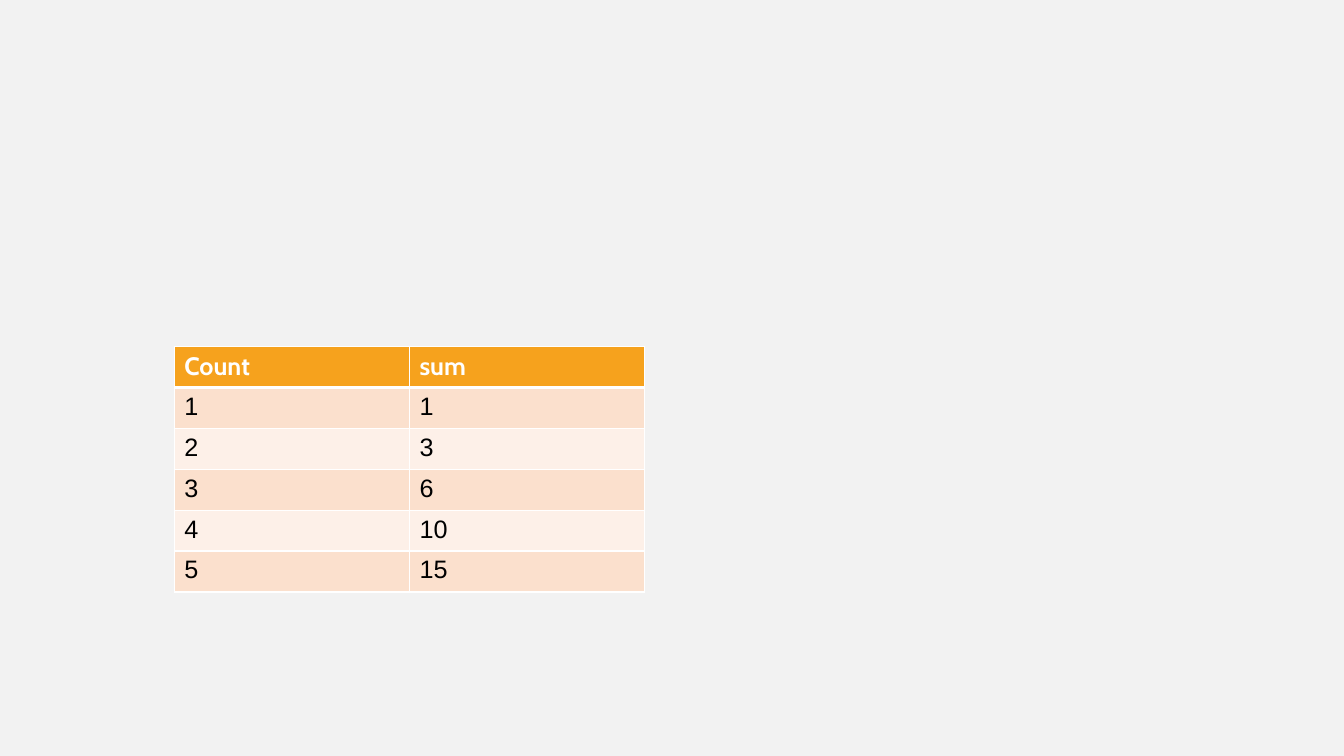
from itertools import accumulate

from lxml import etree
from pptx import Presentation
from pptx import util as u
from pptx.dml.color import RGBColor
from pptx.oxml import ns

PX = 9525  # EMU per px, for a slide of 1280 by 720 px
COLORS = {
    "background": "F2F2F2",
    "header": "F6A21D",
    "odd_row": "FBE0CD",
    "even_row": "FDF0E8",
    "border": "FFFFFF",
    "header_text": "FFFFFF",
    "body_text": "000000",
}
HEADER_FONT = {"name": "Cabin", "size": u.Pt(18), "bold": True}
BODY_FONT = {"name": "Arial", "size": u.Pt(18), "bold": False}


def px(length):
    return u.Emu(length * PX)


def rgb(name):
    return RGBColor.from_string(COLORS[name])


def paint(fill, color):
    fill.solid()
    fill.fore_color.rgb = rgb(color)


def add_border(cell, side, points):
    properties = cell._tc.get_or_add_tcPr()
    line = etree.SubElement(properties, ns.qn(f"a:ln{side}"), w=str(u.Pt(points)))
    solid = etree.SubElement(line, ns.qn("a:solidFill"))
    etree.SubElement(solid, ns.qn("a:srgbClr"), val=COLORS["border"])


def format_cell(cell, value, row):
    is_header = row == 0
    cell.text = str(value)

    # Borders come before the fill in the cell properties
    widths = {"L": 1, "R": 1, "T": 3 if row == 1 else 1, "B": 3 if is_header else 1}
    for side, points in widths.items():
        add_border(cell, side, points)
    band = "odd_row" if row % 2 else "even_row"
    paint(cell.fill, "header" if is_header else band)

    font = cell.text_frame.paragraphs[0].runs[0].font
    for attribute, setting in (HEADER_FONT if is_header else BODY_FONT).items():
        setattr(font, attribute, setting)
    font.color.rgb = rgb("header_text" if is_header else "body_text")


def add_sum_table(slide, rows, left, top, column_width, row_height):
    columns = len(rows[0])
    frame = slide.shapes.add_table(
        len(rows), columns, px(left), px(top),
        px(column_width * columns), px(row_height * len(rows)))
    table = frame.table
    for column in table.columns:
        column.width = px(column_width)
    for row, values in enumerate(rows):
        table.rows[row].height = px(row_height)
        for column, value in enumerate(values):
            format_cell(table.cell(row, column), value, row)


def main():
    presentation = Presentation()
    presentation.slide_width, presentation.slide_height = px(1280), px(720)
    slide = presentation.slides.add_slide(presentation.slide_layouts[6])
    paint(slide.background.fill, "background")

    # Running sum of the counts
    counts = range(1, 6)
    rows = [("Count", "sum"), *zip(counts, accumulate(counts))]
    add_sum_table(slide, rows, left=166, top=330, column_width=224, row_height=39)

    presentation.save("out.pptx")


if __name__ == "__main__":
    main()
